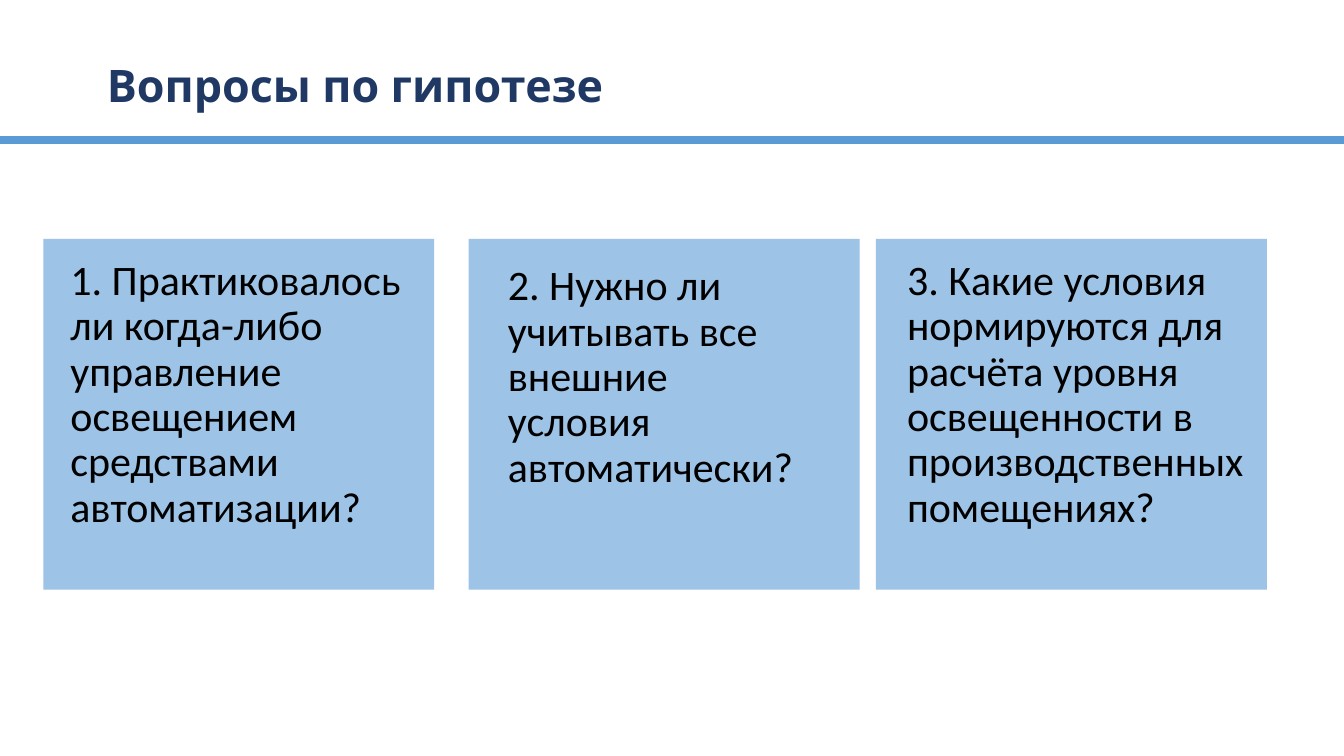
import dataclasses

import pptx
import pptx.dml.color
import pptx.enum.shapes
import pptx.enum.text
import pptx.oxml
import pptx.oxml.ns
import pptx.slide
import pptx.text.text
import pptx.util

Pt = pptx.util.Pt
RGB = pptx.dml.color.RGBColor

NAVY = RGB(0x1F, 0x38, 0x64)
BLUE = RGB(0x5B, 0x9B, 0xD5)
PALE = RGB(0x9D, 0xC3, 0xE6)
BLACK = RGB(0, 0, 0)

WIDTH, HEIGHT = 960, 540
TOP, WIDE, TALL = 170.6, 279.2, 250.6


@dataclasses.dataclass(frozen=True)
class Box:
    left: float
    top: float
    width: float
    height: float


@dataclasses.dataclass(frozen=True)
class Style:
    font: str
    size: float
    color: RGB
    bold: bool


@dataclasses.dataclass(frozen=True)
class Card:
    left: float
    box: Box
    text: str


HEAD = Style("Karla", 32, NAVY, True)
BODY = Style("Calibri", 30, BLACK, False)

CARDS = [
    Card(31, Box(43.2, 162.7, 279.4, 239),
         "1. Практиковалось ли когда-либо управление освещением "
         "средствами автоматизации?"),
    Card(334.8, Box(355.7, 144.7, 230, 250.6),
         "2. Нужно ли учитывать все внешние условия автоматически?"),
    Card(625.7, Box(640.8, 180, 317, 204.5),
         "3. Какие условия нормируются для расчёта уровня "
         "освещенности в производственных помещениях?"),
]


def write(frame: pptx.text.text.TextFrame, text: str, style: Style) -> None:
    frame.word_wrap = True
    frame.auto_size = pptx.enum.text.MSO_AUTO_SIZE.NONE
    frame.vertical_anchor = pptx.enum.text.MSO_ANCHOR.MIDDLE
    frame.margin_left = frame.margin_right = Pt(7.2)
    frame.margin_top = frame.margin_bottom = Pt(3.6)
    para = frame.paragraphs[0]
    para.alignment = pptx.enum.text.PP_ALIGN.LEFT
    para.line_spacing = 0.9
    para.space_before = Pt(0)
    run = para.add_run()
    run.text = text
    run.font.name = style.font
    run.font.size = Pt(style.size)
    run.font.bold = style.bold
    run.font.color.rgb = style.color


def places(box: Box) -> list[pptx.util.Length]:
    return [Pt(v) for v in dataclasses.astuple(box)]


def panel(slide: pptx.slide.Slide, card: Card) -> None:
    shape = slide.shapes.add_shape(
        pptx.enum.shapes.MSO_SHAPE.RECTANGLE,
        *places(Box(card.left, TOP, WIDE, TALL)))
    shape.shadow.inherit = False
    shape.fill.solid()
    shape.fill.fore_color.rgb = PALE
    shape.line.fill.background()


def label(slide: pptx.slide.Slide, card: Card) -> None:
    box = slide.shapes.add_textbox(*places(card.box))
    write(box.text_frame, card.text, BODY)


def title(slide: pptx.slide.Slide, text: str, box: Box) -> None:
    shape = slide.shapes.title
    shape.left, shape.top, shape.width, shape.height = places(box)
    write(shape.text_frame, text, HEAD)


def rule(slide: pptx.slide.Slide, level: float) -> None:
    line = slide.shapes.add_connector(
        pptx.enum.shapes.MSO_CONNECTOR.STRAIGHT,
        Pt(0), Pt(level), Pt(WIDTH), Pt(level))
    line.line.color.rgb = BLUE
    line.line.width = Pt(6)
    props = line._element.spPr
    props.append(pptx.oxml.parse_xml(
        f"<a:effectLst {pptx.oxml.ns.nsdecls('a')}/>"))


def main() -> None:
    deck = pptx.Presentation()
    deck.slide_width, deck.slide_height = Pt(WIDTH), Pt(HEIGHT)
    slide = deck.slides.add_slide(deck.slide_layouts.get_by_name("Title Only"))
    for card in CARDS:
        panel(slide, card)
    title(slide, "Вопросы по гипотезе", Box(69.1, 38.2, 426.2, 49.7))
    rule(slide, 100)
    for card in CARDS:
        label(slide, card)
    deck.save("out.pptx")


if __name__ == "__main__":
    main()
